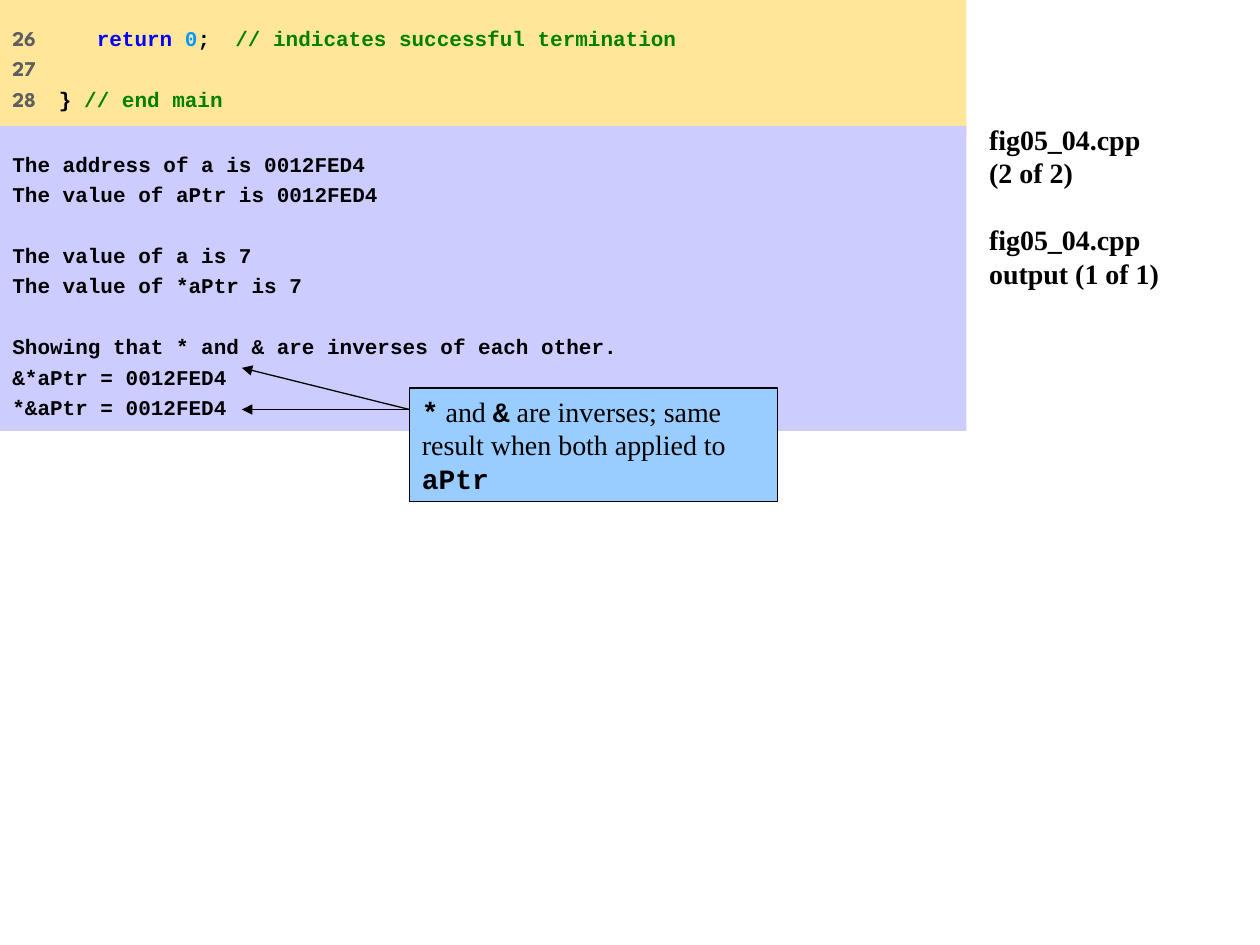
from dataclasses import dataclass

from lxml import etree
from pptx import Presentation
from pptx.dml.color import RGBColor
from pptx.enum.shapes import MSO_CONNECTOR, MSO_SHAPE
from pptx.enum.text import MSO_ANCHOR, MSO_AUTO_SIZE, PP_ALIGN
from pptx.oxml.ns import qn
from pptx.util import Inches, Pt

RECTANGLE = MSO_SHAPE.RECTANGLE
STRAIGHT = MSO_CONNECTOR.STRAIGHT
TOP, LEFT = MSO_ANCHOR.TOP, PP_ALIGN.LEFT
NO_FIT, GROW = MSO_AUTO_SIZE.NONE, MSO_AUTO_SIZE.SHAPE_TO_FIT_TEXT


@dataclass(frozen=True)
class Theme:
    ink: str = "000000"
    line_number: str = "5F5F5F"
    keyword: str = "0000FF"
    literal: str = "0099FF"
    comment: str = "008000"
    source_fill: str = "FFE699"
    output_fill: str = "CCCCFF"
    callout_fill: str = "99CCFF"
    mono: str = "Courier New"
    serif: str = "Times New Roman"
    numbers: str = "League Spartan"
    code_size: float = 12
    text_size: float = 16
    leading: float = 1.2
    code_gap: float = 3
    line_width: float = 0.75


THEME = Theme()


def add_text(paragraph, text, *, font=THEME.mono, size=THEME.code_size,
             color=THEME.ink, bold=True):
    run = paragraph.add_run()
    run.text = text
    run.font.name = font
    run.font.size = Pt(size)
    run.font.bold = bold
    run.font.color.rgb = RGBColor.from_string(color)


def set_frame(frame, *, side=0.1, vertical=0.05, auto_size=NO_FIT):
    frame.word_wrap = True
    frame.auto_size = auto_size
    frame.vertical_anchor = TOP
    frame.margin_left = frame.margin_right = Inches(side)
    frame.margin_top = frame.margin_bottom = Inches(vertical)


def next_paragraph(frame, *, size=THEME.code_size, before=0):
    """Start a left-aligned line, using the empty first paragraph if there is one."""
    first = frame.paragraphs[0]
    paragraph = frame.add_paragraph() if first.runs else first
    paragraph.alignment = LEFT
    paragraph.line_spacing = Pt(size * THEME.leading)
    paragraph.space_before = Pt(before)
    return paragraph


def add_tab_stop(paragraph, position):
    tabs = etree.SubElement(paragraph._p.get_or_add_pPr(), qn("a:tabLst"))
    etree.SubElement(tabs, qn("a:tab"), pos=str(Inches(position)), algn="l")


def add_panel(shapes, left, top, width, height, fill, outlined=False):
    panel = shapes.add_shape(RECTANGLE, Inches(left), Inches(top),
                             Inches(width), Inches(height))
    panel.shadow.inherit = False
    panel.fill.solid()
    panel.fill.fore_color.rgb = RGBColor.from_string(fill)
    if outlined:
        panel.line.color.rgb = RGBColor.from_string(THEME.ink)
        panel.line.width = Pt(THEME.line_width)
    else:
        panel.line.fill.background()
    return panel


def add_arrow(shapes, start, end):
    arrow = shapes.add_connector(STRAIGHT, *map(Inches, start + end))
    arrow.line.color.rgb = RGBColor.from_string(THEME.ink)
    arrow.line.width = Pt(THEME.line_width)
    etree.SubElement(arrow.line._get_or_add_ln(), qn("a:tailEnd"), type="triangle")
    etree.SubElement(arrow._element.spPr, qn("a:effectLst"))


def add_title(slide, sections):
    title = slide.shapes.title
    title.left, title.top = Inches(7.75), Inches(0.92)
    title.width, title.height = Inches(2.25), Inches(5.25)
    set_frame(title.text_frame)
    size = THEME.text_size
    for section_index, lines in enumerate(sections):
        for line_index, line in enumerate(lines):
            opens_section = section_index > 0 and line_index == 0
            paragraph = next_paragraph(title.text_frame, size=size,
                                       before=size * THEME.leading * opens_section)
            add_text(paragraph, line, font=THEME.serif, size=size)


def add_source(slide, numbered_lines):
    frame = add_panel(slide.shapes, 0, 0, 7.67, 1.08, THEME.source_fill).text_frame
    set_frame(frame, vertical=0.2)
    for number, indent, tokens in numbered_lines:
        paragraph = next_paragraph(frame, before=THEME.code_gap)
        if tokens:
            add_tab_stop(paragraph, indent)
        add_text(paragraph, number + ("\t" if tokens else ""),
                 font=THEME.numbers, color=THEME.line_number)
        for token, color in tokens:
            add_text(paragraph, token, color=color)


def add_output(slide, blocks):
    frame = add_panel(slide.shapes, 0, 1, 7.67, 2.42, THEME.output_fill).text_frame
    set_frame(frame, vertical=0.2)
    blank_line = THEME.code_size * THEME.leading + THEME.code_gap
    for block_index, lines in enumerate(blocks):
        for line_index, line in enumerate(lines):
            opens_block = block_index > 0 and line_index == 0
            paragraph = next_paragraph(
                frame, before=THEME.code_gap + blank_line * opens_block)
            add_text(paragraph, line)


def add_callout(slide, phrases, origin, targets):
    group = slide.shapes.add_group_shape()
    note = add_panel(group.shapes, 3.25, 3.08, 2.92, 0.9,
                     THEME.callout_fill, outlined=True)
    set_frame(note.text_frame, auto_size=GROW)
    paragraph = next_paragraph(note.text_frame, size=THEME.text_size)
    for phrase, is_code in phrases:
        add_text(paragraph, phrase, font=THEME.mono if is_code else THEME.serif,
                 size=THEME.text_size, bold=is_code)
    for target in targets:
        add_arrow(group.shapes, origin, target)


def main():
    deck = Presentation()
    deck.slide_width, deck.slide_height = Inches(10), Inches(7.5)
    slide = deck.slides.add_slide(deck.slide_layouts[5])

    # File name and part, beside the listing
    add_title(slide, [("fig05_04.cpp", "(2 of 2)"),
                      ("fig05_04.cpp", "output (1 of 1)")])

    # End of the program
    add_source(slide, [
        ("26", 0.67, [("return ", THEME.keyword), ("0", THEME.literal),
                      (";  ", THEME.ink),
                      ("// indicates successful termination", THEME.comment)]),
        ("27", 0, []),
        ("28", 0.37, [("} ", THEME.ink), ("// end main", THEME.comment)]),
    ])

    # What the program prints
    add_output(slide, [
        ("The address of a is 0012FED4", "The value of aPtr is 0012FED4"),
        ("The value of a is 7", "The value of *aPtr is 7"),
        ("Showing that * and & are inverses of each other.",
         "&*aPtr = 0012FED4", "*&aPtr = 0012FED4"),
    ])

    # Callout pointing at the last two output lines
    add_callout(slide,
                [("*", True), (" and ", False), ("&", True),
                 (" are inverses; same result when both applied to ", False),
                 ("aPtr", True)],
                origin=(3.25, 3.25), targets=[(1.92, 2.92), (1.92, 3.25)])

    deck.save("out.pptx")


if __name__ == "__main__":
    main()
